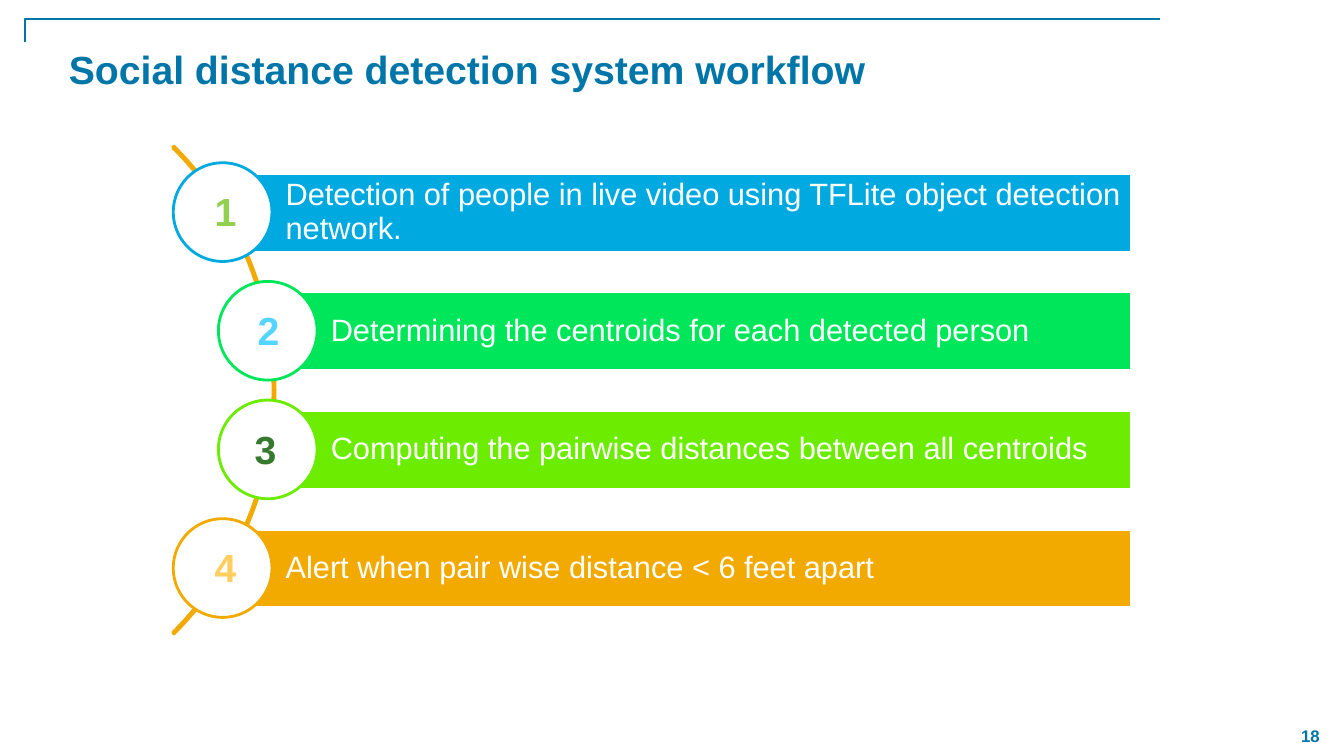
"""Build the social distance detection workflow slide."""
from dataclasses import dataclass

import pptx
import pptx.dml.color
import pptx.enum.shapes
import pptx.enum.text
import pptx.oxml
import pptx.oxml.ns
import pptx.util

PX = 9525
FONT = "Arial"
COLOURS = {
    "navy": "0076A8",
    "blue": "00A9E0",
    "emerald": "00E65B",
    "lime": "6BEC00",
    "amber": "F2A900",
    "white": "FFFFFF",
    "leaf": "92D050",
    "sky": "53D5FF",
    "forest": "367A2F",
    "sand": "FFCE5E",
}
SHAPES = pptx.enum.shapes.MSO_SHAPE
ANCHORS = pptx.enum.text.MSO_ANCHOR
ALIGN = pptx.enum.text.PP_ALIGN

FIRST_BAR_TOP = 165
STEP_PITCH = 113
BAR_RIGHT = 1078
BAR_HEIGHT = 75
CIRCLE_SIZE = 94


@dataclass(frozen=True)
class Step:
    text: str
    colour: str
    number_colour: str
    bar_left: int
    number_left: int


STEPS = [
    Step("Detection of people in live video using TFLite object detection network.",
         "blue", "leaf", 212, 195),
    Step("Determining the centroids for each detected person",
         "emerald", "sky", 255, 236),
    Step("Computing the pairwise distances between all centroids",
         "lime", "forest", 255, 233),
    Step("Alert when pair wise distance < 6 feet apart",
         "amber", "sand", 212, 195),
]


def px(*lengths: int) -> list[pptx.util.Emu]:
    return [pptx.util.Emu(length * PX) for length in lengths]


def rgb(name: str) -> pptx.dml.color.RGBColor:
    return pptx.dml.color.RGBColor.from_string(COLOURS[name])


def write(box, text: str, size: int, colour: str, bold: bool = False,
          align=ALIGN.LEFT, anchor=ANCHORS.TOP):
    frame = box.text_frame
    frame.word_wrap = True
    frame.auto_size = pptx.enum.text.MSO_AUTO_SIZE.NONE
    frame.vertical_anchor = anchor
    frame.text = text
    para = frame.paragraphs[0]
    para.alignment = align
    para.font.name = FONT
    para.font.size = pptx.util.Pt(size)
    para.font.bold = bold
    para.font.color.rgb = rgb(colour)
    return para


def add_outlined(page, kind, bounds: tuple[int, int, int, int], fill: str, line: str):
    shape = page.shapes.add_shape(kind, *px(*bounds))
    shape.shadow.inherit = False
    shape.fill.solid()
    shape.fill.fore_color.rgb = rgb(fill)
    shape.line.color.rgb = rgb(line)
    shape.line.width = pptx.util.Pt(2)
    return shape


def add_corner_rule(page) -> None:
    rule = page.shapes.add_connector(
        pptx.enum.shapes.MSO_CONNECTOR.ELBOW, *px(1105, 18, 24, 40))
    rule.line.color.rgb = rgb("navy")
    rule.line.width = pptx.util.Pt(1)
    properties = rule._element.spPr
    guides = properties.find(".//" + pptx.oxml.ns.qn("a:avLst"))
    guides.append(pptx.oxml.parse_xml(
        f'<a:gd {pptx.oxml.ns.nsdecls("a")} name="adj1" fmla="val 100000"/>'))
    properties.append(pptx.oxml.parse_xml(
        f'<a:effectLst {pptx.oxml.ns.nsdecls("a")}/>'))


def add_arc(page) -> None:
    arc = add_outlined(page, SHAPES.BLOCK_ARC, (-395, 43, 657, 657), "amber", "amber")
    arc.fill.background()
    for index, value in enumerate((189, 27, 0.003)):
        arc.adjustments[index] = value


def add_step(page, number: int, step: Step) -> None:
    top = FIRST_BAR_TOP + (number - 1) * STEP_PITCH
    bar = add_outlined(
        page, SHAPES.RECTANGLE,
        (step.bar_left, top, BAR_RIGHT - step.bar_left, BAR_HEIGHT),
        step.colour, "white")
    para = write(bar, step.text, 22, "white", anchor=ANCHORS.MIDDLE)
    para.line_spacing = 0.9
    frame = bar.text_frame
    (frame.margin_left, frame.margin_top,
     frame.margin_right, frame.margin_bottom) = px(60, 6, 6, 6)
    add_outlined(
        page, SHAPES.OVAL,
        (step.bar_left - CIRCLE_SIZE // 2, top + (BAR_HEIGHT - CIRCLE_SIZE) // 2,
         CIRCLE_SIZE, CIRCLE_SIZE),
        "white", step.colour)
    label = page.shapes.add_textbox(*px(step.number_left, top + 9, 64, 55))
    write(label, str(number), 28, step.number_colour, bold=True)


def main() -> None:
    deck = pptx.Presentation()
    deck.slide_width, deck.slide_height = px(1280, 720)
    page = deck.slides.add_slide(deck.slide_layouts.get_by_name("Title Only"))

    title = page.shapes.title
    title.left, title.top, title.width, title.height = px(56, 38, 1131, 142)
    write(title, "Social distance detection system workflow", 28, "navy", bold=True)

    page_number = page.shapes.add_textbox(*px(1216, 681, 64, 40))
    write(page_number, "18", 12, "navy", bold=True,
          align=ALIGN.CENTER, anchor=ANCHORS.MIDDLE)
    add_corner_rule(page)
    add_arc(page)
    for number, step in enumerate(STEPS, start=1):
        add_step(page, number, step)
    deck.save("out.pptx")


if __name__ == "__main__":
    main()
